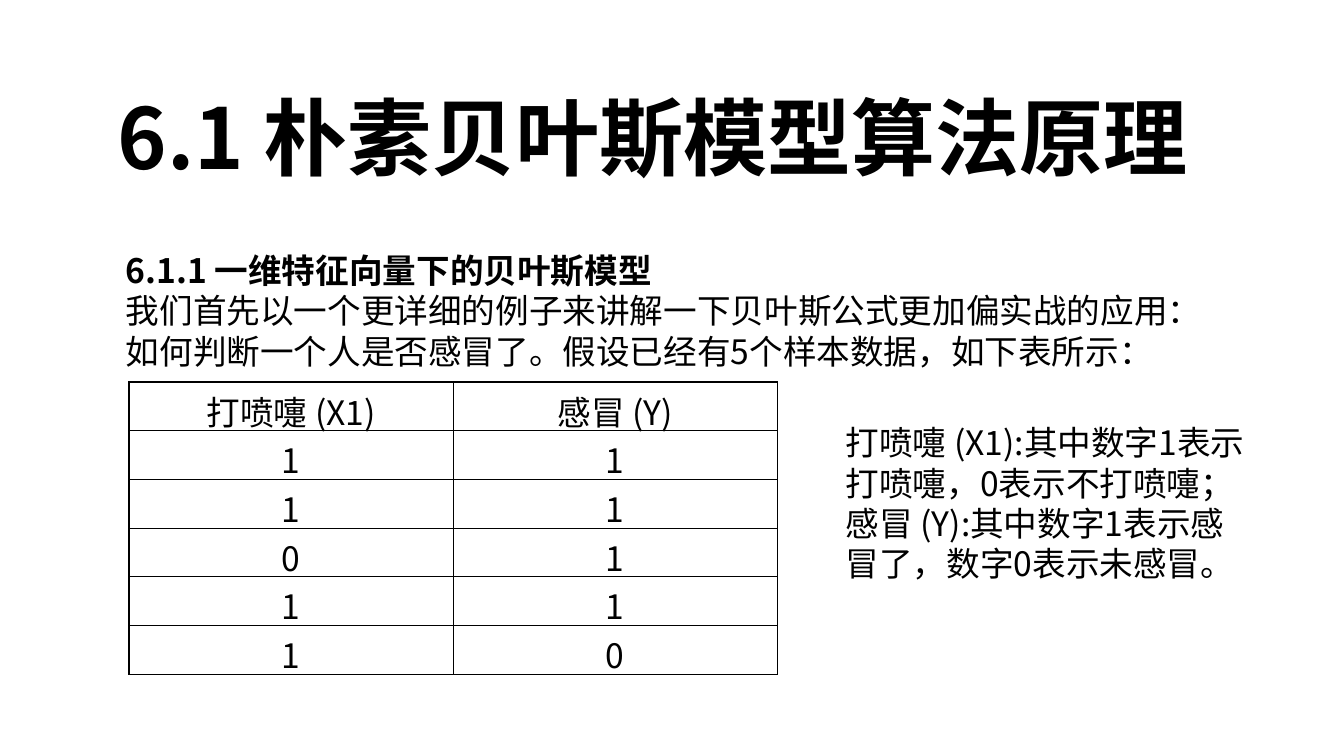
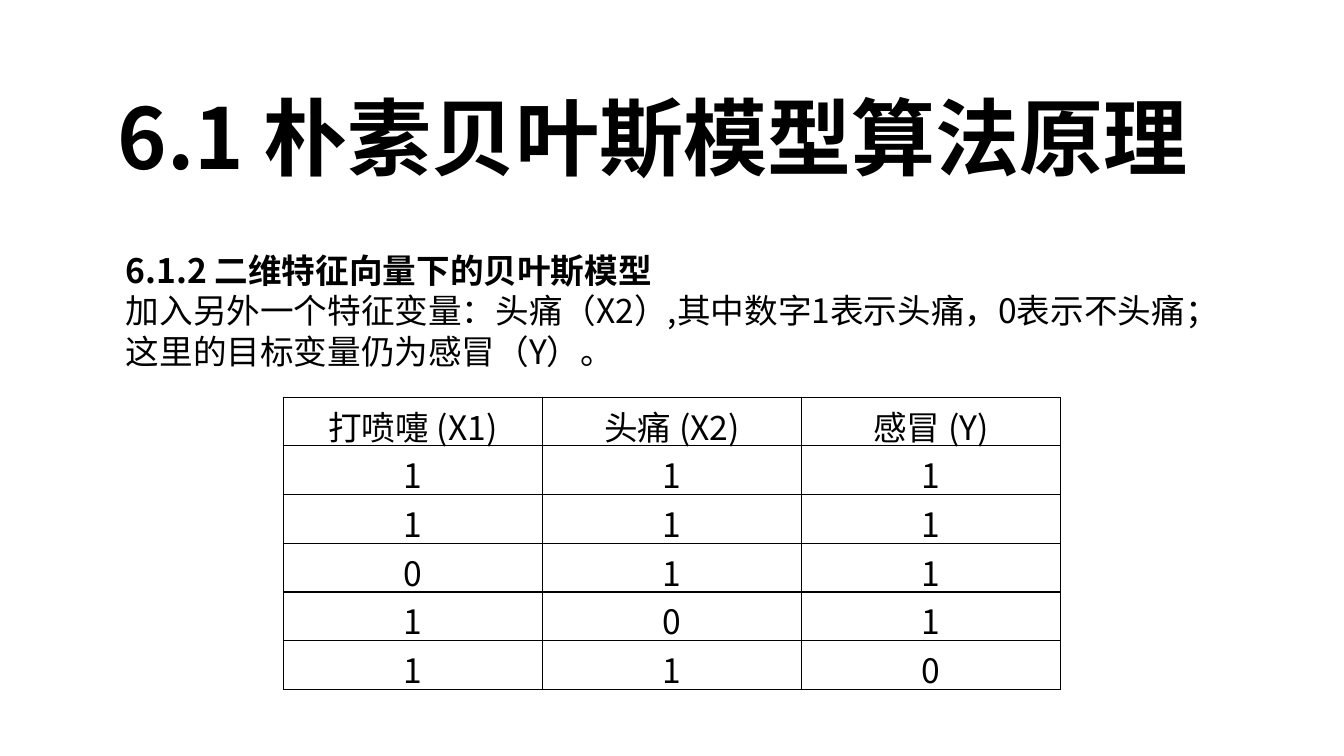
from lxml import etree
from pptx import Presentation
from pptx.dml.color import RGBColor
from pptx.enum.text import MSO_ANCHOR as Anchor, MSO_AUTO_SIZE as AutoSize, PP_ALIGN as Align
from pptx.oxml.ns import qn
from pptx.util import Pt

PX = 9144  # one px is a hundredth of an inch
INK = RGBColor(0, 0, 0)
FONT = "Noto Sans CJK SC"
BODY = {"size": Pt(24), "bold": False}
HEADING = {"size": Pt(24), "bold": True}
TITLE = {"size": Pt(60), "bold": True}
CELL_MARGINS = {"margin_left": 0, "margin_top": 4 * PX,
                "margin_right": 0, "margin_bottom": 4 * PX}

TITLE_TEXT = "6.1 朴素贝叶斯模型算法原理"
TITLE_BOX = (107, 80, 1119, 111)
INTRO_BOX = (115, 243, 1103, 131)


def emu(box):
    return [length * PX for length in box]


def write(paragraph, text, style):
    run = paragraph.add_run()
    run.text = text
    for name, value in {"name": FONT, **style}.items():
        setattr(run.font, name, value)
    run.font.color.rgb = INK
    # East Asian glyphs take their typeface from a separate element
    etree.SubElement(run.font._element, qn("a:ea"), typeface=FONT)


def add_text(slide, box, lines, wrap=True):
    frame = slide.shapes.add_textbox(*emu(box)).text_frame
    frame.word_wrap = wrap
    frame.auto_size = AutoSize.SHAPE_TO_FIT_TEXT
    for index, (text, style) in enumerate(lines):
        paragraph = frame.add_paragraph() if index else frame.paragraphs[0]
        write(paragraph, text, style)


def add_borders(cell):
    properties = cell._tc.get_or_add_tcPr()
    for position, side in enumerate(("a:lnL", "a:lnR", "a:lnT", "a:lnB")):
        line = etree.Element(qn(side), w=str(Pt(1)))
        fill = etree.SubElement(line, qn("a:solidFill"))
        etree.SubElement(fill, qn("a:srgbClr"), val=str(INK))
        properties.insert(position, line)


def add_samples(slide, box, rows, anchor):
    left, top, width, height = emu(box)
    samples = slide.shapes.add_table(len(rows), len(rows[0]), left, top, width, height).table
    samples.first_row = samples.horz_banding = False
    for row_index, values in enumerate(rows):
        for column_index, value in enumerate(values):
            cell = samples.cell(row_index, column_index)
            for name, margin in CELL_MARGINS.items():
                setattr(cell, name, margin)
            cell.vertical_anchor = anchor
            cell.fill.background()
            add_borders(cell)
            paragraph = cell.text_frame.paragraphs[0]
            paragraph.alignment = Align.CENTER
            write(paragraph, value, BODY)


def add_section(deck, heading, intro):
    slide = deck.slides.add_slide(deck.slide_layouts[6])
    add_text(slide, TITLE_BOX, [(TITLE_TEXT, TITLE)], wrap=False)
    add_text(slide, INTRO_BOX, [(heading, HEADING), (intro, BODY)])
    return slide


def one_feature_slide(deck):
    slide = add_section(
        deck, "6.1.1 一维特征向量下的贝叶斯模型",
        "我们首先以一个更详细的例子来讲解一下贝叶斯公式更加偏实战的应用："
        "如何判断一个人是否感冒了。假设已经有5个样本数据，如下表所示：")
    rows = [("打喷嚏 (X1)", "感冒 (Y)"), *("11", "11", "01", "11", "10")]
    add_samples(slide, (128, 379, 643, 290), rows, Anchor.MIDDLE)
    # Meaning of the two columns
    add_text(slide, (829, 414, 427, 172), [
        ("打喷嚏 (X1):其中数字1表示打喷嚏，0表示不打喷嚏；", BODY),
        ("感冒 (Y):其中数字1表示感冒了，数字0表示未感冒。", BODY)])


def two_feature_slide(deck):
    slide = add_section(
        deck, "6.1.2 二维特征向量下的贝叶斯模型",
        "加入另外一个特征变量：头痛（X2）,其中数字1表示头痛，0表示不头痛；"
        "这里的目标变量仍为感冒（Y）。")
    rows = [("打喷嚏 (X1)", "头痛 (X2)", "感冒 (Y)"), *("111", "111", "011", "101", "110")]
    add_samples(slide, (281, 394, 771, 290), rows, Anchor.TOP)


def main():
    deck = Presentation()
    deck.slide_width, deck.slide_height = emu((1333, 750))
    one_feature_slide(deck)
    two_feature_slide(deck)
    deck.save("out.pptx")


if __name__ == "__main__":
    main()
